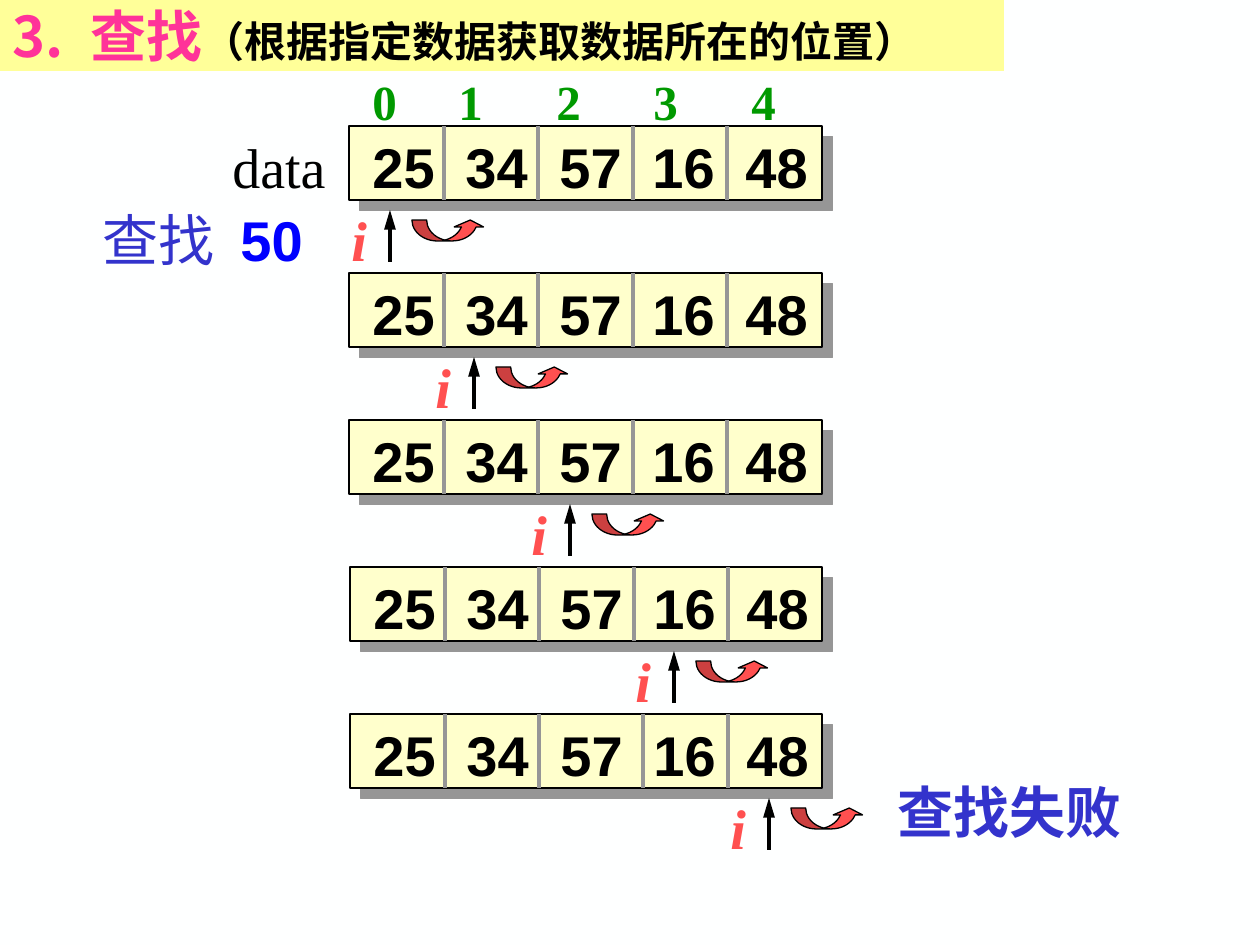
import pptx
import pptx.util
import pptx.dml.color
import pptx.enum.shapes
import pptx.enum.text
import pptx.oxml
import pptx.oxml.ns

RGB = pptx.dml.color.RGBColor
KIND = pptx.enum.shapes.MSO_SHAPE
BLACK = RGB(0x00, 0x00, 0x00)
GRAY = RGB(0x96, 0x96, 0x96)
CREAM = RGB(0xFF, 0xFF, 0xCC)
YELLOW = RGB(0xFF, 0xFF, 0x99)
GREEN = RGB(0x00, 0x99, 0x00)
INDIGO = RGB(0x33, 0x33, 0xCC)
BLUE = RGB(0x00, 0x00, 0xFF)
CORAL = RGB(0xFF, 0x50, 0x50)
PINK = RGB(0xFF, 0x33, 0x99)
PAPER = RGB(0xFE, 0xFF, 0xFF)

SERIF = "Times New Roman"
SANS = "Arial"
HAN = "Noto Sans CJK SC"
NS = pptx.oxml.ns.nsdecls("a")

PITCH = 147
HIGH = 74
DATA = "25\t34\t57\t16\t48"
STOPS = [93, 187, 280, 373]
EDGES = (444, 538, 633, 727)
ROWS = (
    (390, 0, EDGES),
    (474, 0, EDGES),
    (570, 0, EDGES),
    (674, 1, EDGES),
    (769, 1, (444, 538, 642, 727)),
)


def px(n):
    return pptx.util.Emu(round(n * 914400 / 126))


def add_xml(node, text):
    node.append(pptx.oxml.parse_xml(text))


def style(font, size, name, color, **form):
    font.color.rgb = color
    form.update(size=pptx.util.Pt(size), name=name)
    for key, value in form.items():
        setattr(font, key, value)


def write(frame, runs, stops=()):
    para = frame.paragraphs[0]
    para.alignment = pptx.enum.text.PP_ALIGN.LEFT
    if stops:
        tabs = "".join(f'<a:tab pos="{px(x)}" algn="l"/>' for x in stops)
        add_xml(para._p.get_or_add_pPr(), f"<a:tabLst {NS}>{tabs}</a:tabLst>")
    for text, size, name, color, form in runs:
        run = para.add_run()
        run.text = text
        style(run.font, size, name, color, **form)
        add_xml(run._r.get_or_add_rPr(), f'<a:ea {NS} typeface="{HAN}"/>')


def add_text(slide, at, runs, stops=()):
    box = slide.shapes.add_textbox(*map(px, at))
    box.text_frame.word_wrap = True
    write(box.text_frame, runs, stops)


def add_line(slide, ends, color, head=False):
    link = pptx.enum.shapes.MSO_CONNECTOR.STRAIGHT
    line = slide.shapes.add_connector(link, *map(px, ends))
    line.line.color.rgb = color
    line.line.width = pptx.util.Pt(2.25)
    if head:
        add_xml(line.line._get_or_add_ln(),
                f'<a:tailEnd {NS} type="triangle" w="med" len="lg"/>')
    add_xml(line._element.spPr, f"<a:effectLst {NS}/>")


def add_solid(slide, kind, at, color):
    shape = slide.shapes.add_shape(kind, *map(px, at))
    shape.shadow.inherit = False
    shape.fill.solid()
    shape.fill.fore_color.rgb = color
    shape.line.color.rgb = BLACK
    shape.line.width = pptx.util.Pt(0.75)
    return shape


def add_bar(slide, top, shift, edges):
    at = (349 + shift, top, 473 - shift, HIGH)
    bar = add_solid(slide, KIND.RECTANGLE, at, CREAM)
    glow = bar._element.spPr.find(pptx.oxml.ns.qn("a:effectLst"))
    add_xml(glow, f'<a:outerShdw {NS} blurRad="0" dist="107950" dir="2700000" '
                  f'algn="ctr" rotWithShape="0"><a:srgbClr val="{GRAY}"/></a:outerShdw>')
    add_text(slide, (360 + shift, top, 473, 81),
             [(DATA, 32, SANS, BLACK, {"bold": True})], STOPS)
    for x in edges:
        add_line(slide, (x + shift, top, x + shift, top + HIGH), GRAY)


def add_mark(slide, x, top):
    add_line(slide, (x, top + 136, x, top + 84), BLACK, True)
    add_text(slide, (x - 51, top + HIGH - 1, 40, 81),
             [("i", 32, SERIF, CORAL, {"bold": True, "italic": True})])
    hop = add_solid(slide, KIND.CURVED_UP_ARROW, (x + 22, top + 94, 73, 21), CORAL)
    for n, value in enumerate((0.7, 1.4, 0.33)):
        hop.adjustments[n] = value


def add_title(slide):
    title = slide.shapes.title
    spot = dict(left=0, top=0, width=1004, height=71)
    for key, value in spot.items():
        setattr(title, key, px(value))
    title.fill.solid()
    title.fill.fore_color.rgb = YELLOW
    frame = title.text_frame
    form = dict(word_wrap=True, auto_size=pptx.enum.text.MSO_AUTO_SIZE.NONE,
                vertical_anchor=pptx.enum.text.MSO_ANCHOR.MIDDLE)
    for key, value in form.items():
        setattr(frame, key, value)
    bold = {"bold": True}
    write(frame, [("3.\t查找", 32, HAN, PINK, bold),
                  ("（根据指定数据获取数据所在的位置）", 24, HAN, BLACK, bold)], [78])


def main():
    deck = pptx.Presentation()
    deck.slide_width, deck.slide_height = px(1260), px(945)
    slide = deck.slides.add_slide(deck.slide_layouts[5])
    slide.background.fill.solid()
    slide.background.fill.fore_color.rgb = PAPER
    bold = {"bold": True}
    add_title(slide)
    add_text(slide, (360, 65, 440, 72),
             [("0\t1\t2\t3\t4", 28, SERIF, GREEN, bold)], [86, 184, 281, 379])
    add_text(slide, (220, 126, 126, 81), [("data", 32, SERIF, BLACK, {})])
    add_text(slide, (90, 199, 243, 81),
             [("查找\t", 32, SERIF, INDIGO, {}), ("50", 32, SANS, BLUE, bold)], [138])
    for n, (x, shift, edges) in enumerate(ROWS):
        top = 126 + n * PITCH
        add_bar(slide, top, shift, edges)
        add_mark(slide, x, top)
    add_text(slide, (885, 771, 260, 81), [("查找失败", 32, SERIF, INDIGO, bold)])
    deck.save("out.pptx")


if __name__ == "__main__":
    main()
